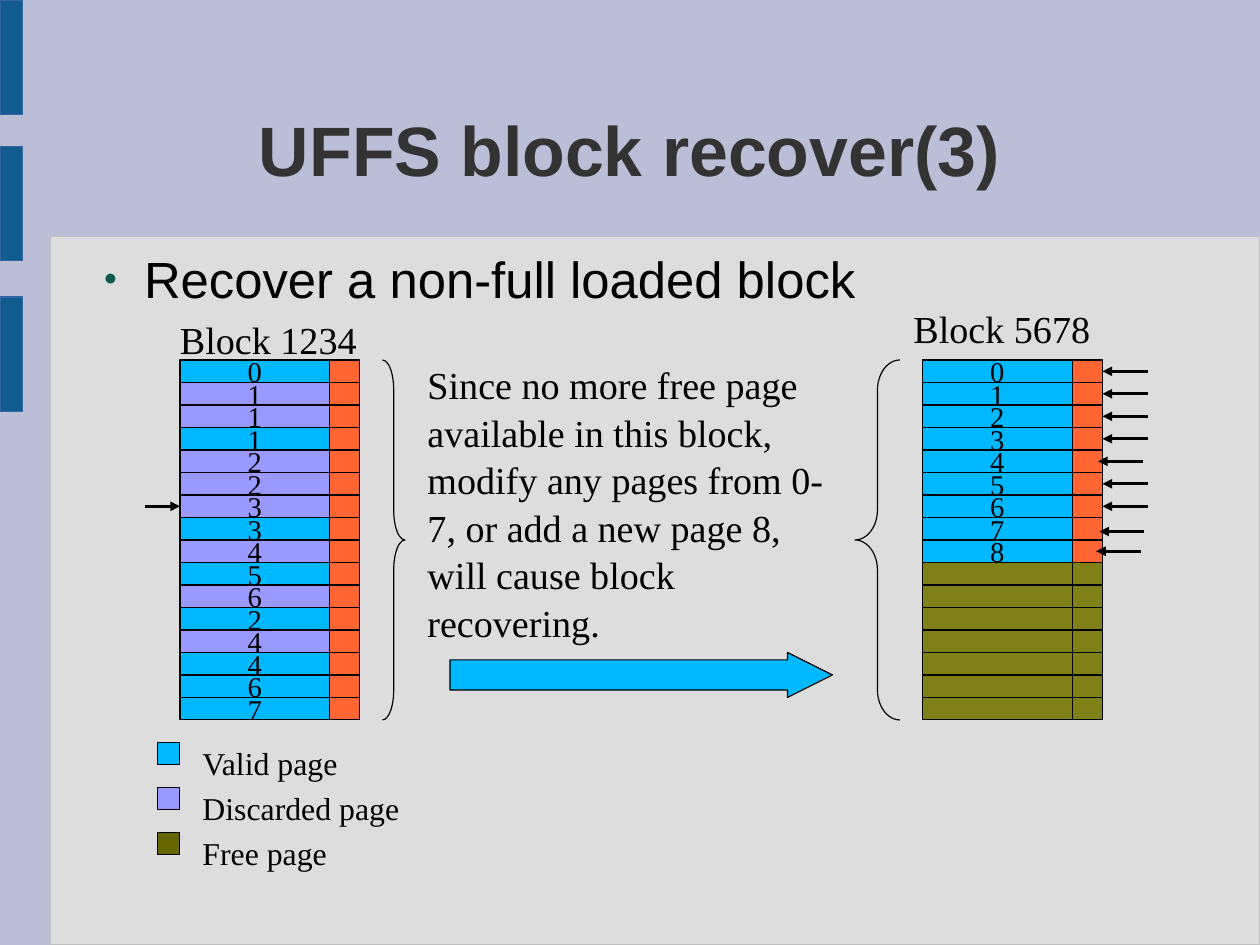
from pptx import Presentation
from pptx.dml.color import RGBColor
from pptx.enum.shapes import MSO_CONNECTOR, MSO_SHAPE
from pptx.enum.text import MSO_ANCHOR, MSO_AUTO_SIZE, PP_ALIGN
from pptx.oxml import parse_xml
from pptx.oxml.ns import nsdecls
from pptx.util import Cm, Pt

TITLE = "UFFS block recover(3)"
BULLET = "Recover a non-full loaded block"
REASON = ("Since no more free page available in this block, modify any pages "
          "from 0-7, or add a new page 8, will cause block recovering.")
VALID, DISCARDED, FREE, SPARE = "00B8FF", "9999FF", "808019", "FF6633"
LEGEND = [("Valid page", VALID), ("Discarded page", DISCARDED), ("Free page", "666600")]
FULL_BLOCK = [
    ("0", VALID), ("1", DISCARDED), ("1", DISCARDED), ("1", VALID),
    ("2", DISCARDED), ("2", DISCARDED), ("3", DISCARDED), ("3", VALID),
    ("4", DISCARDED), ("5", VALID), ("6", DISCARDED), ("2", VALID),
    ("4", DISCARDED), ("4", VALID), ("6", VALID), ("7", VALID),
]
NEW_BLOCK = [(str(number), VALID) for number in range(9)] + [("", FREE)] * 7
LABELS = [
    ("Block 5678", 20.3, 6.75, 4.5, 1.17, 24),
    ("Block 1234", 4, 7, 4.5, 1.17, 24),
    (REASON, 9.5, 8, 9, 8.1, 24),
]
BRACES = [
    (MSO_SHAPE.RIGHT_BRACE, 8.5, 0.5, 1.33),
    (MSO_SHAPE.LEFT_BRACE, 19, 1, 0.67),
]
BLOCK_TOP, ROW, PAGE_WIDTH, SPARE_WIDTH = 8, 0.5, 3.33, 0.67
FULL_LEFT, NEW_LEFT = 4, 20.5
MARKED_ROW = 6
ARROW_INSETS = {4: 0.1, 7: 0.07, 8: 0.14}
ARROW_DROPS = {7: 0.06}
SIDE_BARS = [0, 3.25, 6.6]
SERIF = {"name": "Times New Roman", "size": Pt(18), "bold": False}
NO_MARGINS = {"margin_left": 0, "margin_right": 0, "margin_top": 0, "margin_bottom": 0}


def color(value):
    return RGBColor.from_string(value)


def apply(target, values):
    for name, value in values.items():
        setattr(target, name, value)


def write(frame, text, font, ink="000000", anchor=MSO_ANCHOR.TOP,
          align=PP_ALIGN.LEFT, spacing=1.0):
    apply(frame, {**NO_MARGINS, "word_wrap": True, "vertical_anchor": anchor,
                  "auto_size": MSO_AUTO_SIZE.NONE})
    para = frame.paragraphs[0]
    apply(para, {"alignment": align, "line_spacing": spacing, "space_before": Pt(0)})
    span = para.add_run()
    span.text = text
    apply(span.font, font)
    span.font.color.rgb = color(ink)
    return para


def place(shape, left, top, width, height):
    apply(shape, {"left": Cm(left), "top": Cm(top),
                  "width": Cm(width), "height": Cm(height)})


def draw(page, kind, left, top, width, height, fill=None, line="000000"):
    shape = page.shapes.add_shape(kind, Cm(left), Cm(top), Cm(width), Cm(height))
    shape.shadow.inherit = False
    if fill:
        shape.fill.solid()
        shape.fill.fore_color.rgb = color(fill)
    else:
        shape.fill.background()
    shape.line.color.rgb = color(line)
    shape.line.width = Pt(0)
    return shape


def label(page, text, left, top, width, height, size):
    box = page.shapes.add_textbox(Cm(left), Cm(top), Cm(width), Cm(height))
    write(box.text_frame, text, {**SERIF, "size": Pt(size)}, spacing=1.04)


def draw_block(page, rows, left):
    cells = []
    for index, (number, fill) in enumerate(rows):
        top = BLOCK_TOP + index * ROW
        cell = draw(page, MSO_SHAPE.RECTANGLE, left, top, PAGE_WIDTH, ROW, fill)
        if number:
            write(cell.text_frame, number, SERIF,
                  anchor=MSO_ANCHOR.MIDDLE, align=PP_ALIGN.CENTER)
        spare = draw(page, MSO_SHAPE.RECTANGLE, left + PAGE_WIDTH, top, SPARE_WIDTH, ROW,
                     SPARE if number else fill)
        cells.append((cell, spare))
    return cells


def arrow(page, start, tip, height, target=None, side=None):
    line = page.shapes.add_connector(
        MSO_CONNECTOR.STRAIGHT, Cm(start), Cm(height), Cm(tip), Cm(height))
    line.line.color.rgb = color("000000")
    line.line.width = Pt(0)
    line.line._get_or_add_ln().append(parse_xml(f'<a:tailEnd {nsdecls("a")} type="triangle"/>'))
    line.element.spPr.append(parse_xml(f'<a:effectLst {nsdecls("a")}/>'))
    if target is not None:
        line.end_connect(target, side)


def add_backdrop(page):
    page.background.fill.solid()
    page.background.fill.fore_color.rgb = color("BABED6")
    parts = [draw(page, MSO_SHAPE.RECTANGLE, 1.13, 5.25, 26.87, 15.75, "DDDDDD", "C0C0C0")]
    parts += [draw(page, MSO_SHAPE.RECTANGLE, 0, top, 0.5, 2.55, "125C8D", "3465A4")
              for top in SIDE_BARS]
    for position, part in enumerate(parts, start=2):
        page.shapes.element.insert(position, part.element)


def add_headings(page):
    title, body = page.placeholders
    place(title, 2.05, 1.55, 23.9, 3.5)
    write(title.text_frame, TITLE, {"name": "Arial", "size": Pt(44), "bold": True},
          "333333", MSO_ANCHOR.MIDDLE, PP_ALIGN.CENTER)
    place(body, 2, 5.5, 23.9, 1.27)
    para = write(body.text_frame, BULLET, {"name": "Arial", "size": Pt(32)})
    properties = para._p.get_or_add_pPr()
    apply_indent = {"marL": Cm(1.2), "indent": Cm(-0.9)}
    for name, value in apply_indent.items():
        properties.set(name, str(int(value)))
    for tag in ('buClr {}><a:srgbClr val="0E594D"/></a:buClr>',
                'buSzPct {} val="45000"/>',
                'buFont {} typeface="Arial"/>',
                'buChar {} char="●"/>'):
        properties.append(parse_xml("<a:" + tag.format(nsdecls("a"))))


def main():
    deck = Presentation()
    apply(deck, {"slide_width": Cm(28), "slide_height": Cm(21)})
    page = deck.slides.add_slide(deck.slide_layouts[1])
    add_backdrop(page)
    add_headings(page)

    full_cells = draw_block(page, FULL_BLOCK, FULL_LEFT)
    new_cells = draw_block(page, NEW_BLOCK, NEW_LEFT)
    for index, (text, fill) in enumerate(LEGEND):
        top = 16.5 + index
        draw(page, MSO_SHAPE.RECTANGLE, 3.5, top, 0.5, 0.5, fill)
        label(page, text, 4.5, top, 6.5, 0.97, 20)

    big_arrow = draw(page, MSO_SHAPE.RIGHT_ARROW, 10, 14.5, 8.5, 1, VALID)
    big_arrow.adjustments[0] = 0.67
    big_arrow.adjustments[1] = 1
    for kind, left, width, curve in BRACES:
        brace = draw(page, kind, left, BLOCK_TOP, width, ROW * len(FULL_BLOCK))
        brace.adjustments[0] = curve
    for item in LABELS:
        label(page, *item)

    arrow(page, 3.23, FULL_LEFT, BLOCK_TOP + (MARKED_ROW + 0.5) * ROW,
          full_cells[MARKED_ROW][0], 1)
    edge = NEW_LEFT + PAGE_WIDTH + SPARE_WIDTH
    for row, (number, _) in enumerate(NEW_BLOCK):
        if number:
            inset = ARROW_INSETS.get(row, 0)
            height = BLOCK_TOP + (row + 0.5) * ROW + ARROW_DROPS.get(row, 0)
            target = None if inset else new_cells[row][1]
            arrow(page, edge + 1 - inset, edge - inset, height, target, 3)
    deck.save("out.pptx")


if __name__ == "__main__":
    main()
